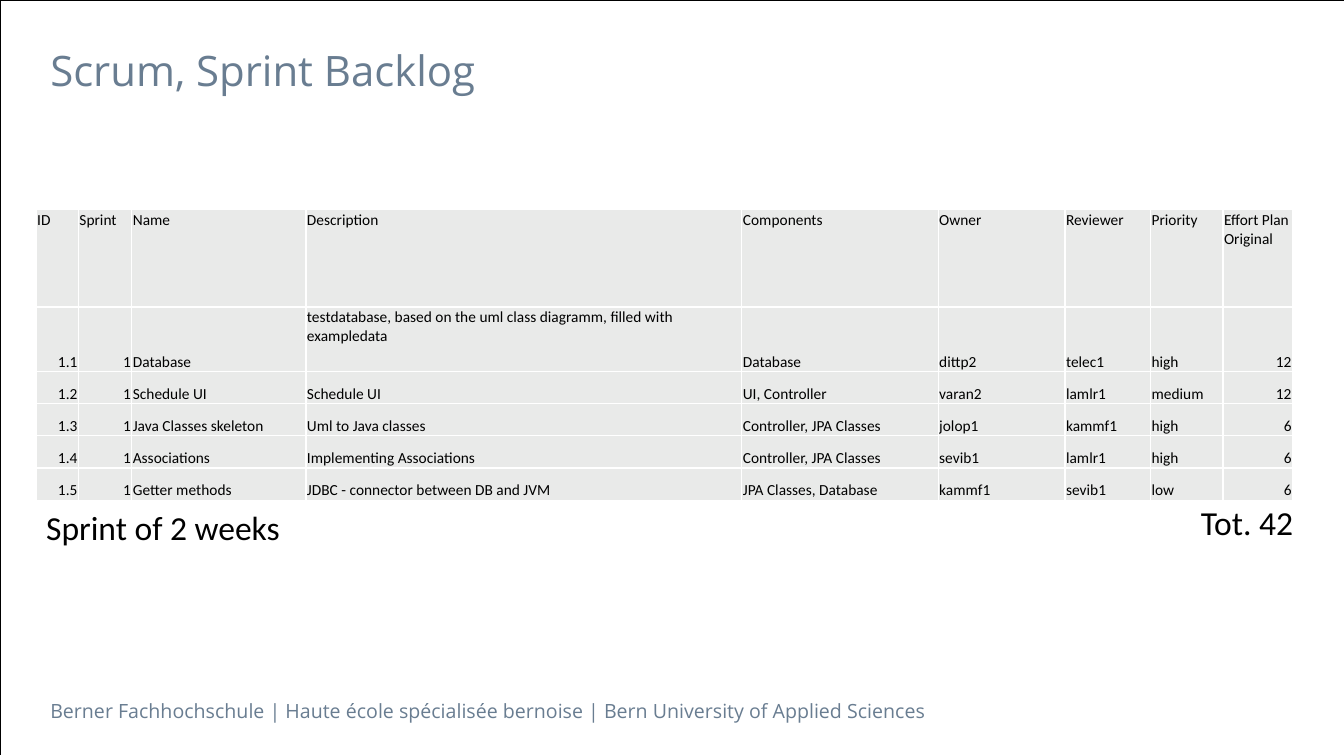
"""Build the sprint backlog slide with its task table."""
from dataclasses import dataclass

from lxml.etree import SubElement
from pptx import Presentation
from pptx.dml.color import RGBColor
from pptx.enum.shapes import MSO_SHAPE
from pptx.enum.text import MSO_ANCHOR, PP_ALIGN
from pptx.oxml.ns import qn
from pptx.slide import Slide
from pptx.table import _Cell as Cell
from pptx.text.text import TextFrame
from pptx.util import Inches, Pt


@dataclass(frozen=True)
class Theme:
    slate: str = "697D91"
    black: str = "000000"
    white: str = "FFFFFF"
    grey: str = "E9EAE9"
    head: str = "Open Sans"
    body: str = "Calibri"
    title: int = 30
    note: int = 24
    foot: int = 14
    cell: int = 11


@dataclass(frozen=True)
class Label:
    text: str
    left: float
    top: float
    width: float
    height: float
    size: int
    font: str
    color: str
    inset: float


@dataclass(frozen=True)
class Column:
    name: str
    width: float
    align: PP_ALIGN = PP_ALIGN.LEFT


THEME = Theme()
WIDTH, HEIGHT = 13.35, 7.5
LABELS = [
    Label("Berner Fachhochschule | Haute école spécialisée bernoise | Bern University of Applied Sciences",
          0.5, 6.89, 9.77, 0.34, THEME.foot, THEME.head, THEME.slate, 0),
    Label("Scrum, Sprint Backlog", 0.5, 0.39, 12.3, 0.59, THEME.title, THEME.head, THEME.slate, 0),
    Label("Tot. 42", 11.83, 4.94, 1.41, 0.5, THEME.note, THEME.body, THEME.black, 0.1),
    Label("Sprint of 2 weeks", 0.36, 4.99, 3.23, 0.5, THEME.note, THEME.body, THEME.black, 0.1),
]
COLUMNS = [
    Column("ID", 0.42, PP_ALIGN.RIGHT),
    Column("Sprint", 0.53, PP_ALIGN.RIGHT),
    Column("Name", 1.73),
    Column("Description", 4.33),
    Column("Components", 1.95),
    Column("Owner", 1.26),
    Column("Reviewer", 0.85),
    Column("Priority", 0.72),
    Column("Effort Plan Original", 0.69, PP_ALIGN.RIGHT),
]
TASKS = [
    ("1.1", "1", "Database", "testdatabase, based on the uml class diagramm, filled with exampledata",
     "Database", "dittp2", "telec1", "high", "12"),
    ("1.2", "1", "Schedule UI", "Schedule UI", "UI, Controller", "varan2", "lamlr1", "medium", "12"),
    ("1.3", "1", "Java Classes skeleton", "Uml to Java classes",
     "Controller, JPA Classes", "jolop1", "kammf1", "high", "6"),
    ("1.4", "1", "Associations", "Implementing Associations",
     "Controller, JPA Classes", "sevib1", "lamlr1", "high", "6"),
    ("1.5", "1", "Getter methods", "JDBC - connector between DB and JVM",
     "JPA Classes, Database", "kammf1", "sevib1", "low", "6"),
]
ROWS = [0.97, 0.64] + [0.32] * 4
LONG_CELL = (1, 3)


def write(frame: TextFrame, text: str, *, size: int, font: str, color: str,
          align: PP_ALIGN = PP_ALIGN.LEFT) -> None:
    frame.word_wrap = True
    line = frame.paragraphs[0]
    line.alignment = align
    run = line.add_run()
    run.text = text
    run.font.size = Pt(size)
    run.font.name = font
    run.font.color.rgb = RGBColor.from_string(color)


def add_frame(slide: Slide) -> None:
    frame = slide.shapes.add_shape(MSO_SHAPE.RECTANGLE, 0, 0, Inches(WIDTH), Inches(HEIGHT))
    frame.shadow.inherit = False
    frame.fill.background()
    frame.line.color.rgb = RGBColor.from_string(THEME.black)
    frame.line.width = Pt(0.5)


def add_label(slide: Slide, label: Label) -> None:
    box = slide.shapes.add_textbox(Inches(label.left), Inches(label.top),
                                   Inches(label.width), Inches(label.height))
    frame = box.text_frame
    frame.margin_left = frame.margin_right = Inches(label.inset)
    frame.margin_top = frame.margin_bottom = Inches(0.05)
    write(frame, label.text, size=label.size, font=label.font, color=label.color)


def add_edges(cell: Cell) -> None:
    props = cell._tc.get_or_add_tcPr()
    for spot, side in enumerate(("a:lnL", "a:lnR", "a:lnT", "a:lnB")):
        edge = SubElement(props, qn(side), w=str(Pt(1)))
        fill = SubElement(edge, qn("a:solidFill"))
        SubElement(fill, qn("a:srgbClr"), val=THEME.white)
        props.insert(spot, edge)


def fill_cell(cell: Cell, text: str, align: PP_ALIGN, anchor: MSO_ANCHOR) -> None:
    cell.margin_left = cell.margin_right = cell.margin_top = Inches(0.01)
    cell.margin_bottom = 0
    cell.vertical_anchor = anchor
    cell.fill.solid()
    cell.fill.fore_color.rgb = RGBColor.from_string(THEME.grey)
    add_edges(cell)
    write(cell.text_frame, text, size=THEME.cell, font=THEME.body, color=THEME.black, align=align)


def add_backlog(slide: Slide) -> None:
    table = slide.shapes.add_table(len(ROWS), len(COLUMNS), Inches(0.36), Inches(2.08),
                                   Inches(12.49), Inches(2.9)).table
    table.first_row = table.horz_banding = False
    for row, height in zip(table.rows, ROWS):
        row.height = Inches(height)
    for slot, column in zip(table.columns, COLUMNS):
        slot.width = Inches(column.width)
    heads = tuple(column.name for column in COLUMNS)
    for row, texts in enumerate([heads, *TASKS]):
        for col, (text, column) in enumerate(zip(texts, COLUMNS)):
            align = column.align if row else PP_ALIGN.LEFT
            at_top = row == 0 or (row, col) == LONG_CELL
            anchor = MSO_ANCHOR.TOP if at_top else MSO_ANCHOR.BOTTOM
            fill_cell(table.cell(row, col), text, align, anchor)


def main() -> None:
    deck = Presentation()
    deck.slide_width, deck.slide_height = Inches(WIDTH), Inches(HEIGHT)
    slide = deck.slides.add_slide(deck.slide_layouts[6])
    add_frame(slide)
    add_backlog(slide)
    for label in LABELS:
        add_label(slide, label)
    deck.save("out.pptx")


if __name__ == "__main__":
    main()
